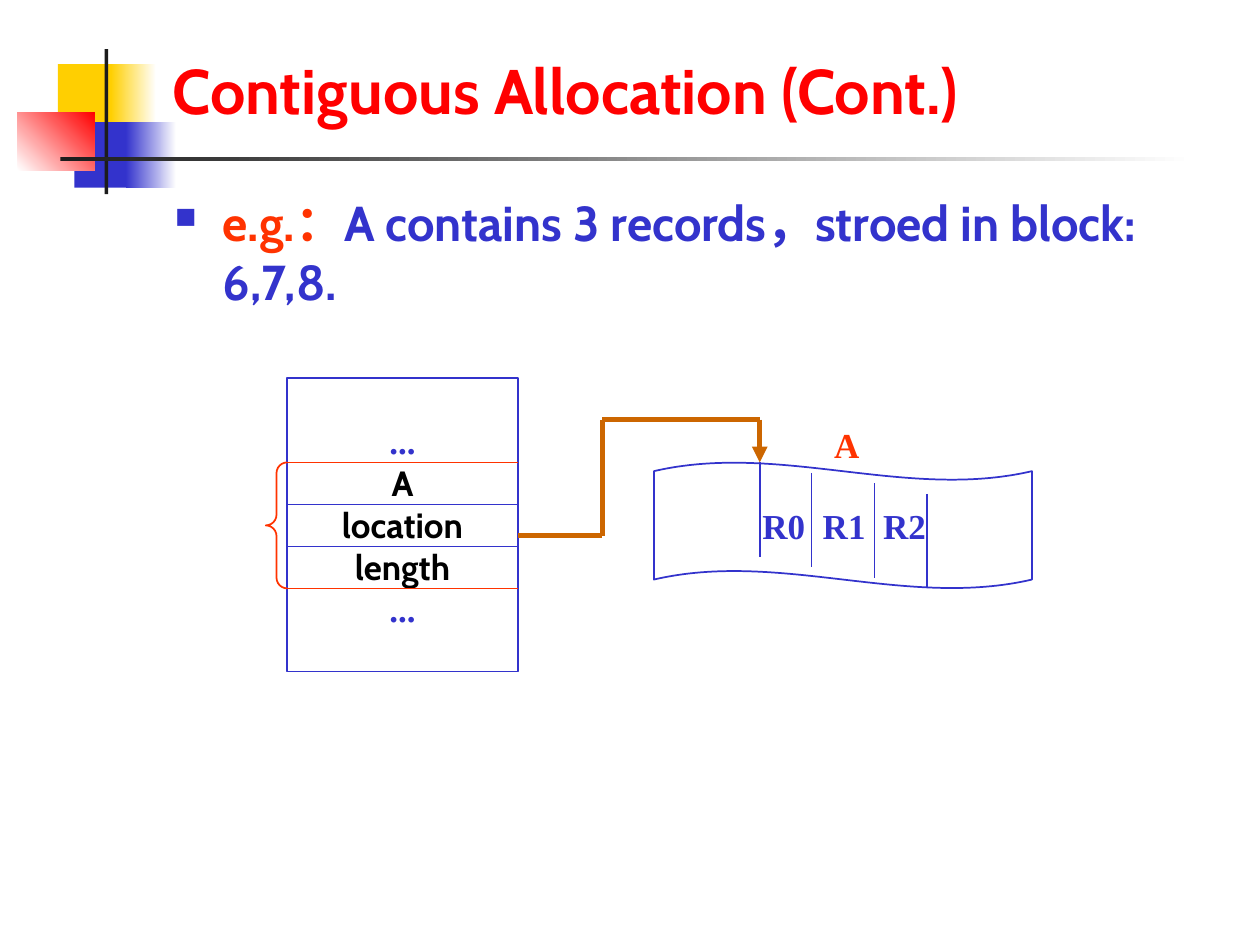
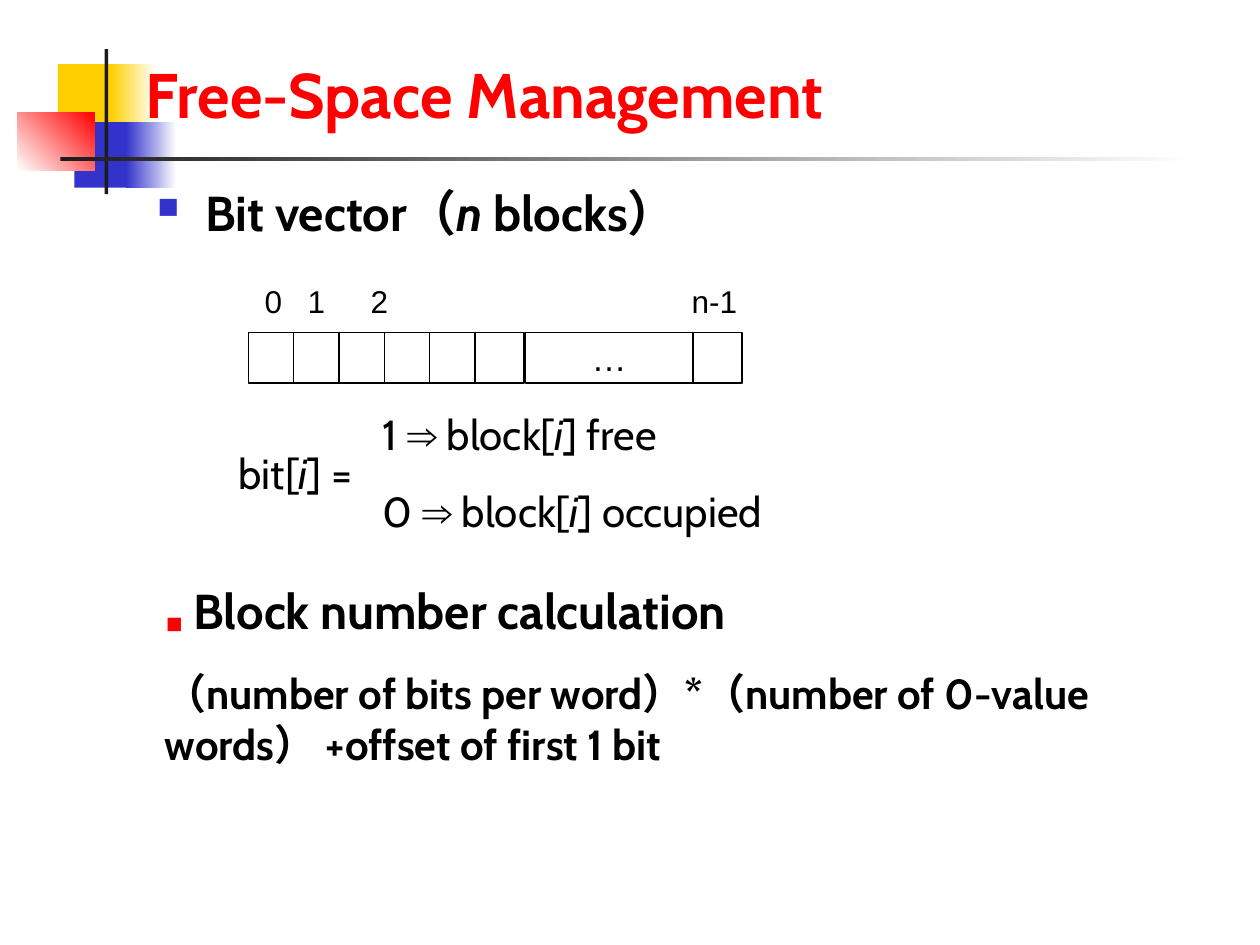
from dataclasses import dataclass
from itertools import pairwise

from lxml.etree import SubElement
from pptx import Presentation
from pptx.dml.color import RGBColor
from pptx.enum.shapes import MSO_CONNECTOR as Connector, MSO_SHAPE as Preset
from pptx.enum.text import MSO_ANCHOR as Anchor, PP_ALIGN as Align
from pptx.oxml.ns import qn
from pptx.util import Inches, Pt


@dataclass(frozen=True)
class Theme:
    yellow: str = "FFCF01"
    blue: str = "3333CC"
    red: str = "FF0000"
    orange: str = "FF3300"
    brown: str = "CC6600"
    charcoal: str = "1C1C1C"
    black: str = "000000"
    white: str = "FFFFFF"
    heading_font: str = "Cabin"
    diagram_font: str = "Times New Roman"
    plain_font: str = "Arial"
    bullet_font: str = "Wingdings"
    title_size: int = 36
    body_size: int = 28
    formula_size: int = 24
    diagram_size: int = 20
    index_size: int = 18
    marker_size: int = 10


theme = Theme()

DECORATIONS = [
    ((0.46, 0.51, 0.48, 0.52), (theme.yellow,), 0),
    ((0.88, 0.51, 0.36, 0.52), (theme.yellow, theme.white), 0),
    ((0.59, 0.97, 0.46, 0.52), (theme.blue,), 0),
    ((1, 0.97, 0.4, 0.52), (theme.blue, theme.white), 0),
    ((0.14, 0.89, 0.61, 0.46), (theme.white, theme.red), 45),
    ((0.83, 0.39, 0.03, 1.15), (theme.charcoal,), 0),
    ((0.48, 1.25, 9, 0.03), (theme.charcoal, theme.white), 0),
]

ALLOCATION_TITLE = "Contiguous Allocation (Cont.)"
ALLOCATION_EXAMPLE = [
    ("e.g.：", {"color": theme.orange}),
    ("A contains 3 records，stroed in block: 6,7,8.", {"color": theme.blue}),
]
ELLIPSIS_STYLE = {"font": theme.diagram_font, "color": theme.blue}
DIRECTORY_ROWS = [
    [("...", ELLIPSIS_STYLE)],
    [("A", {})],
    [("location", {})],
    [("length", {})],
    [("...", ELLIPSIS_STYLE)],
]
DIRECTORY_LEFT, DIRECTORY_RIGHT = 2.28, 4.11
ENTRY_TOP, ENTRY_BOTTOM, ENTRY_ROWS = 3.67, 4.67, 3
RECORDS = ["R0", "R1", "R2"]
RECORD_TEXT_LEFT, RECORD_PITCH = 0.86, 0.48
RECORD_EDGES = [6.03, 6.44, 6.94, 7.36]
POINTER_ROUTE = [(4.11, 4.25), (4.78, 4.25), (4.78, 3.33), (6.03, 3.33), (6.03, 3.67)]

FREE_SPACE_TITLE = "Free-Space Management"
BIT_VECTOR = [("Bit vector（", {}), ("n", {"italic": True}), (" blocks）", {})]
BIT_INDEXES = [("0", 2, 0.34), ("1", 2.34, 0.34), ("2", 2.84, 0.34), ("n-1", 5.39, 0.56)]
BIT_CELLS = [(1.97 + 0.36 * index, 0.39, "") for index in range(6)]
BIT_CELLS += [(4.17, 1.33, "…"), (5.5, 0.39, "")]
BIT_NAME = [("bit[", {}), ("i", {"italic": True}), ("] =", {})]
BIT_MEANINGS = [("1", "free"), ("0", "occupied")]
CALCULATION_HEADING = [
    ("■", {"size": theme.marker_size, "color": theme.red}),
    (" Block number calculation", {}),
]
CALCULATION = "（number of bits per word）*（number of 0-value words） +offset of first 1 bit"


def color_of(value):
    return RGBColor.from_string(value)


def add_bullet(paragraph):
    properties = paragraph._p.get_or_add_pPr()
    properties.set("marL", str(Inches(0.38)))
    properties.set("indent", str(Inches(-0.38)))
    bullet_color = SubElement(properties, qn("a:buClr"))
    SubElement(bullet_color, qn("a:srgbClr"), val=theme.blue)
    SubElement(properties, qn("a:buSzPct"), val="60000")
    SubElement(properties, qn("a:buFont"), typeface=theme.bullet_font, charset="2")
    SubElement(properties, qn("a:buChar"), char="n")


def add_tabs(paragraph, positions):
    tab_list = SubElement(paragraph._p.get_or_add_pPr(), qn("a:tabLst"))
    for position in positions:
        SubElement(tab_list, qn("a:tab"), pos=str(Inches(position)), algn="l")


def write(shape, paragraphs, *, size, font=theme.heading_font, color=theme.black, bold=False,
          align=Align.LEFT, anchor=Anchor.MIDDLE, wrap=False, bullet=False, tabs=(),
          left_inset=0.1, space_before=0, line_spacing=None):
    frame = shape.text_frame
    frame.word_wrap = wrap
    frame.vertical_anchor = anchor
    frame.margin_left = Inches(left_inset)
    base = {"size": size, "font": font, "color": color, "bold": bold, "italic": False}
    if isinstance(paragraphs, str):
        paragraphs = [[(paragraphs, {})]]
    for index, runs in enumerate(paragraphs):
        paragraph = frame.add_paragraph() if index else frame.paragraphs[0]
        if bullet:
            add_bullet(paragraph)
        if tabs:
            add_tabs(paragraph, tabs)
        paragraph.alignment = align
        if line_spacing:
            paragraph.line_spacing = line_spacing
        if index and space_before:
            paragraph.space_before = Pt(space_before)
        for text, changes in runs:
            style = base | changes
            run = paragraph.add_run()
            run.text = text
            run.font.size = Pt(style["size"])
            run.font.name = style["font"]
            run.font.bold = style["bold"]
            run.font.italic = style["italic"]
            run.font.color.rgb = color_of(style["color"])


def add_text(slide, at, paragraphs, **text_format):
    write(slide.shapes.add_textbox(*map(Inches, at)), paragraphs, **text_format)


def add_preset(slide, preset, at, fills=(), angle=0, line=None, width=1):
    shape = slide.shapes.add_shape(preset, *map(Inches, at))
    shape.shadow.inherit = False
    if len(fills) == 2:
        shape.fill.gradient()
        shape.fill.gradient_angle = angle
        for stop, value in zip(shape.fill.gradient_stops, fills):
            stop.color.rgb = color_of(value)
    elif fills:
        shape.fill.solid()
        shape.fill.fore_color.rgb = color_of(fills[0])
    else:
        shape.fill.background()
    if line:
        shape.line.color.rgb = color_of(line)
        shape.line.width = Pt(width)
    else:
        shape.line.fill.background()
    return shape


def add_line(slide, start, end, color, width=1, arrow=False):
    connector = slide.shapes.add_connector(Connector.STRAIGHT, *map(Inches, (*start, *end)))
    connector.line.color.rgb = color_of(color)
    connector.line.width = Pt(width)
    if arrow:
        SubElement(connector.line._get_or_add_ln(), qn("a:tailEnd"), type="triangle")
    SubElement(connector._element.spPr, qn("a:effectLst"))


def add_titled_slide(presentation, title, at):
    slide = presentation.slides.add_slide(presentation.slide_layouts[6])
    for place, fills, angle in DECORATIONS:
        add_preset(slide, Preset.RECTANGLE, place, fills, angle)
    add_text(slide, at, title, size=theme.title_size, color=theme.red, bold=True,
             anchor=Anchor.BOTTOM, wrap=True)
    return slide


def build_allocation(presentation):
    slide = add_titled_slide(presentation, ALLOCATION_TITLE, (1.27, 0.28, 8.52, 0.78))
    add_text(slide, (1.29, 1.48, 8.5, 1.57), [ALLOCATION_EXAMPLE], size=theme.body_size,
             bold=True, anchor=Anchor.TOP, wrap=True, bullet=True)
    label = {"size": theme.diagram_size, "bold": True}

    width = DIRECTORY_RIGHT - DIRECTORY_LEFT
    directory = add_preset(slide, Preset.RECTANGLE, (DIRECTORY_LEFT, 3, width, 2.33),
                           line=theme.blue)
    write(directory, DIRECTORY_ROWS, align=Align.CENTER, **label)
    entry_height = ENTRY_BOTTOM - ENTRY_TOP
    for row in range(ENTRY_ROWS + 1):
        y = ENTRY_TOP + entry_height * row / ENTRY_ROWS
        color = theme.orange if row in (0, ENTRY_ROWS) else theme.blue
        add_line(slide, (DIRECTORY_LEFT, y), (DIRECTORY_RIGHT, y), color)
    brace = add_preset(slide, Preset.LEFT_BRACE, (2.11, ENTRY_TOP, 0.17, entry_height),
                       line=theme.orange)
    brace.adjustments[0] = 0.5

    disk = add_preset(slide, Preset.WAVE, (5.19, 3.67, 3, 1), line=theme.blue)
    disk.adjustments[0] = 0.07
    tabs = [RECORD_PITCH * index for index in range(1, len(RECORDS))]
    write(disk, "\t".join(RECORDS), font=theme.diagram_font, color=theme.blue, wrap=True,
          tabs=tabs, left_inset=RECORD_TEXT_LEFT, **label)
    for index, x in enumerate(RECORD_EDGES):
        top = 3.67 + index / 12
        add_line(slide, (x, top), (x, top + 0.75), theme.blue)
    add_text(slide, (6.52, 3.31, 0.4, 0.44), "A", font=theme.diagram_font,
             color=theme.orange, align=Align.CENTER, **label)

    for start, end in pairwise(POINTER_ROUTE):
        add_line(slide, start, end, theme.brown, width=3, arrow=end == POINTER_ROUTE[-1])


def build_free_space(presentation):
    slide = add_titled_slide(presentation, FREE_SPACE_TITLE, (1.06, 0.35, 7.07, 0.74))
    add_text(slide, (1.15, 1.49, 7.69, 0.49), [BIT_VECTOR], size=theme.body_size, bold=True,
             anchor=Anchor.TOP, wrap=True, bullet=True, line_spacing=0.8)

    for left, width, text in BIT_CELLS:
        cell = add_preset(slide, Preset.RECTANGLE, (left, 2.64, width, 0.4), (theme.white,),
                          line=theme.black, width=0.75)
        if text:
            write(cell, text, size=theme.diagram_size, font=theme.plain_font,
                  align=Align.CENTER)
    for text, left, width in BIT_INDEXES:
        add_text(slide, (left, 2.19, width, 0.4), text, size=theme.index_size,
                 font=theme.plain_font, align=Align.CENTER)

    add_text(slide, (1.75, 3.5, 1.19, 0.5), [BIT_NAME], size=theme.formula_size,
             align=Align.CENTER)
    meanings = [
        [(f"{bit} ", {}), ("⇒", {"font": theme.plain_font}), (" block[", {}),
         ("i", {"italic": True}), (f"] {state}", {})]
        for bit, state in BIT_MEANINGS
    ]
    add_text(slide, (2.94, 3.19, 3.46, 1.11), meanings, size=theme.formula_size,
             space_before=15)

    add_text(slide, (1.22, 4.56, 6.51, 0.49), [CALCULATION_HEADING], size=theme.body_size,
             bold=True, anchor=Anchor.TOP, wrap=True)
    add_text(slide, (1.21, 5.25, 8.14, 0.9), CALCULATION, size=theme.formula_size, bold=True,
             wrap=True)


def main():
    presentation = Presentation()
    presentation.slide_width, presentation.slide_height = Inches(10), Inches(7.5)
    build_allocation(presentation)
    build_free_space(presentation)
    presentation.save("out.pptx")


if __name__ == "__main__":
    main()
